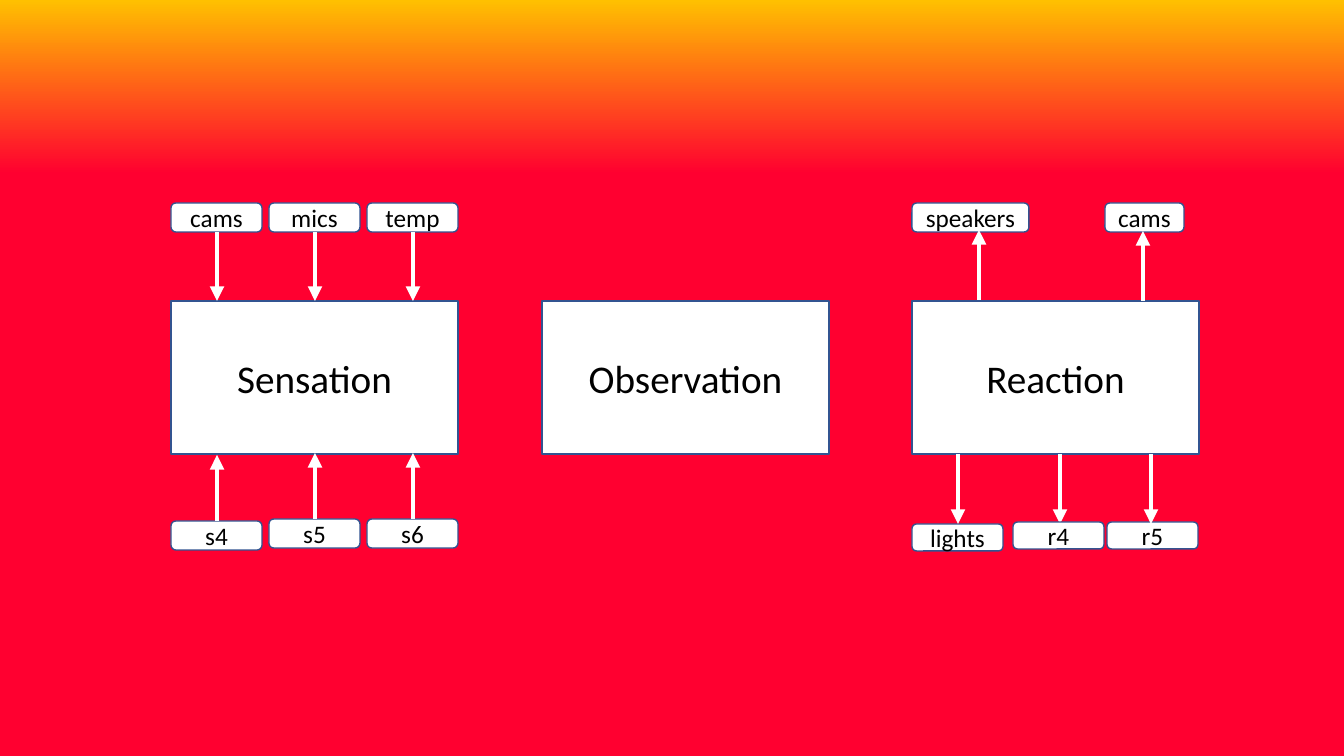
from typing import NamedTuple

from lxml.etree import SubElement
from pptx import Presentation
from pptx.dml.color import RGBColor
from pptx.enum.shapes import MSO_CONNECTOR, MSO_SHAPE
from pptx.enum.text import MSO_ANCHOR, PP_ALIGN
from pptx.oxml.ns import qn
from pptx.util import Emu, Pt

SCALE = 914400 / 100.8  # EMU per pixel
WHITE, BLACK, BORDER = "FFFFFF", "000000", "325491"
FRAME = {"vertical_anchor": MSO_ANCHOR.MIDDLE, "word_wrap": True}
FONT = {"name": "Calibri"}


class Box(NamedTuple):
    text: str
    left: int
    top: int
    width: int
    height: int


class Arrow(NamedTuple):
    x: int
    start: int
    end: int


class Port(NamedTuple):
    tag: Box
    arrow: Arrow
    tag_on_top: bool = False


def px(n: float) -> Emu:
    return Emu(round(n * SCALE))


def rgb(value: str) -> RGBColor:
    return RGBColor.from_string(value)


def set_all(target: object, values: dict) -> None:
    for name, value in values.items():
        setattr(target, name, value)


def add_box(box: Box, kind: MSO_SHAPE, size: int) -> None:
    s = sp.add_shape(kind, *(px(n) for n in box[1:]))
    s.shadow.inherit = False
    s.fill.solid()
    s.fill.fore_color.rgb = rgb(WHITE)
    s.line.color.rgb = rgb(BORDER)
    s.line.width = Pt(1)
    tf = s.text_frame
    set_all(tf, FRAME)
    p = tf.paragraphs[0]
    p.alignment = PP_ALIGN.CENTER
    r = p.add_run()
    r.text = box.text
    set_all(r.font, FONT | {"size": Pt(size)})
    r.font.color.rgb = rgb(BLACK)


def add_arrow(arrow: Arrow) -> None:
    x = px(arrow.x)
    c = sp.add_connector(MSO_CONNECTOR.STRAIGHT, x, px(arrow.start), x, px(arrow.end))
    c.line.color.rgb = rgb(WHITE)
    c.line.width = Pt(3.5)
    SubElement(c.line._get_or_add_ln(), qn("a:tailEnd"), type="triangle")
    SubElement(c._element.spPr, qn("a:effectLst"))


def add_port(port: Port) -> None:
    if port.tag_on_top:
        add_arrow(port.arrow)
    add_box(port.tag, MSO_SHAPE.ROUNDED_RECTANGLE, 18)
    if not port.tag_on_top:
        add_arrow(port.arrow)


prs = Presentation()
prs.slide_width, prs.slide_height = px(1344), px(756)
slide = prs.slides.add_slide(prs.slide_layouts[6])
sp = slide.shapes

# Background: amber fading into red
fill = slide.background.fill
fill.gradient()
fill.gradient_angle = 270
for stop, (position, color) in zip(fill.gradient_stops, [(0, "FFC000"), (0.23, "FF0030")]):
    stop.position = position
    stop.color.rgb = rgb(color)

# Three stages
STAGE_TOP, STAGE_H = 301, 153
STAGE_BOTTOM = STAGE_TOP + STAGE_H
for i, name in enumerate(["Sensation", "Observation", "Reaction"]):
    add_box(Box(name, round(171 + i * 370.5), STAGE_TOP, 287, STAGE_H), MSO_SHAPE.RECTANGLE, 28)

# Sensor inputs, above and below the first stage
TAG_TOP, TAG_W, TAG_H = 203, 91, 29
for i, (upper, lower, low_top) in enumerate(
    [("cams", "s4", 521), ("mics", "s5", 519), ("temp", "s6", 519)]
):
    left = 171 + i * 98
    x = left + TAG_W // 2 + 1
    add_port(Port(Box(upper, left, TAG_TOP, TAG_W, TAG_H), Arrow(x, TAG_TOP + TAG_H, STAGE_TOP)))
    add_port(Port(Box(lower, left, low_top, TAG_W, TAG_H), Arrow(x, low_top, low_top - 66)))

# Outputs of the last stage
OUTPUTS = [
    Port(Box("speakers", 912, TAG_TOP, 117, TAG_H), Arrow(979, 300, 230)),
    Port(Box("cams", 1105, TAG_TOP, 79, TAG_H), Arrow(1143, 301, 231)),
    Port(Box("lights", 912, 524, TAG_W, 27), Arrow(958, STAGE_BOTTOM, 524)),
    Port(Box("r4", 1013, 522, TAG_W, 27), Arrow(1060, STAGE_BOTTOM, 524), tag_on_top=True),
    Port(Box("r5", 1107, 522, TAG_W, 27), Arrow(1151, STAGE_BOTTOM, 524)),
]
for port in OUTPUTS:
    add_port(port)

prs.save("out.pptx")
